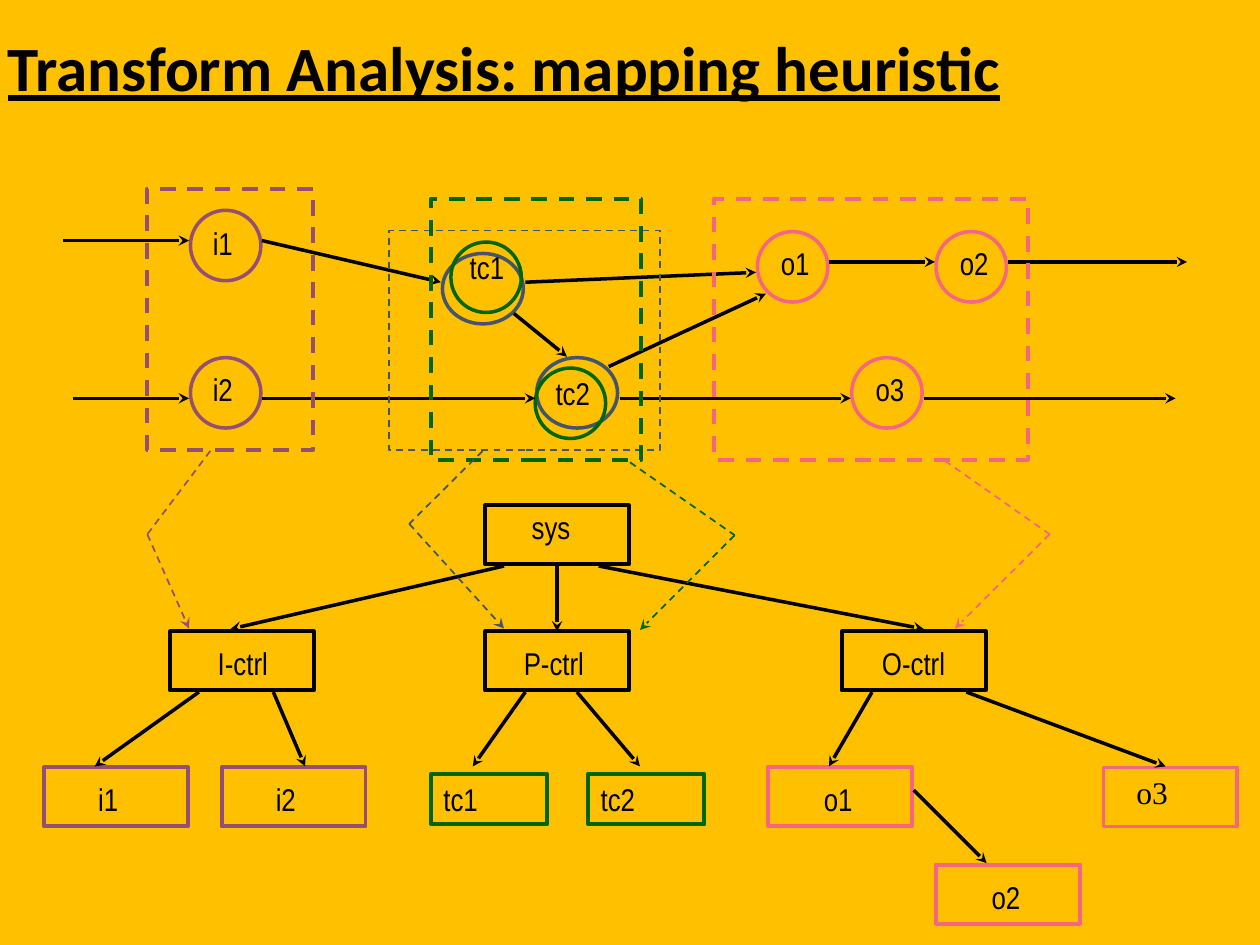
from dataclasses import dataclass
from itertools import pairwise
from typing import Any

from lxml.etree import SubElement
from pptx import Presentation
from pptx.dml.color import RGBColor
from pptx.enum.dml import MSO_LINE
from pptx.enum.shapes import MSO_CONNECTOR, MSO_SHAPE
from pptx.enum.text import MSO_ANCHOR, MSO_AUTO_SIZE, PP_ALIGN
from pptx.oxml.ns import qn
from pptx.util import Cm, Pt


@dataclass(frozen=True)
class Theme:
    background: str = "FFC000"
    ink: str = "000000"
    afferent: str = "954F72"
    process: str = "44546A"
    center: str = "006600"
    efferent: str = "F76681"
    title_font: str = "Calibri"
    label_font: str = "Arial Narrow"
    serif_font: str = "Times New Roman"
    title_size: float = 36
    label_size: float = 18
    thin: float = 1
    medium: float = 2
    thick: float = 2.25


THEME = Theme()
CIRCLE = 1.42
NODE = (2.9, 1.19)
LABEL_HEIGHT = 1.02


def style_line(line, color, width, dashed):
    line.color.rgb = RGBColor.from_string(color)
    line.width = Pt(width)
    if dashed:
        line.dash_style = MSO_LINE.DASH


def add_span(para, text, font, size):
    span = para.add_run()
    span.text = text
    span.font.name = font
    span.font.size = Pt(size)
    span.font.color.rgb = RGBColor.from_string(THEME.ink)
    return span


@dataclass
class Region:
    """A part of the page; positions inside it are centimetres from its corner."""
    page: Any
    left: float
    top: float

    def place(self, x, y):
        return Cm(self.left + x), Cm(self.top + y)

    def outline(self, kind, x, y, width, height, color,
                weight=THEME.medium, dashed=False):
        shape = self.page.shapes.add_shape(
            kind, *self.place(x, y), Cm(width), Cm(height))
        shape.shadow.inherit = False
        shape.fill.background()
        style_line(shape.line, color, weight, dashed)
        return shape

    def label(self, text, x, y, width, font=THEME.label_font):
        box = self.page.shapes.add_textbox(
            *self.place(x, y), Cm(width), Cm(LABEL_HEIGHT))
        box.text_frame.word_wrap = False
        box.text_frame.auto_size = MSO_AUTO_SIZE.SHAPE_TO_FIT_TEXT
        add_span(box.text_frame.paragraphs[0], text, font, THEME.label_size)

    def line(self, start, end, color=THEME.ink, weight=THEME.medium,
             dashed=False, arrow=True):
        link = self.page.shapes.add_connector(
            MSO_CONNECTOR.STRAIGHT, *self.place(*start), *self.place(*end))
        style_line(link.line, color, weight, dashed)
        if arrow:
            SubElement(link.line._get_or_add_ln(), qn("a:tailEnd"), type="stealth")
        SubElement(link._element.spPr, qn("a:effectLst"))
        return link


def add_title(page, left, top, width, height):
    title = page.shapes.title
    title.left, title.top = Cm(left), Cm(top)
    title.width, title.height = Cm(width), Cm(height)
    frame = title.text_frame
    frame.word_wrap = True
    frame.auto_size = MSO_AUTO_SIZE.NONE
    frame.vertical_anchor = MSO_ANCHOR.MIDDLE
    para = frame.paragraphs[0]
    para.alignment = PP_ALIGN.LEFT
    para.line_spacing = 0.9
    span = add_span(para, "Transform Analysis: mapping heuristic",
                    THEME.title_font, THEME.title_size)
    span.font.bold = span.font.underline = True


def add_data_flow(region):
    circles = [
        (2.57, 0.43, CIRCLE, THEME.afferent), (2.57, 3.4, CIRCLE, THEME.afferent),
        (7.65, 1.3, 1.63, THEME.process), (9.55, 3.4, 1.63, THEME.process),
        (7.82, 1.07, CIRCLE, THEME.center), (9.52, 3.61, CIRCLE, THEME.center),
        (14, 0.86, CIRCLE, THEME.efferent), (17.6, 0.86, CIRCLE, THEME.efferent),
        (15.9, 3.4, CIRCLE, THEME.efferent),
    ]
    for x, y, width, color in circles:
        region.outline(MSO_SHAPE.OVAL, x, y, width, CIRCLE, color)

    upper, middle, lower, output = 1.04, 1.88, 4.22, 1.47
    flows = [
        ((0, upper), (2.54, upper)), ((4.01, upper), (7.62, middle)),
        ((0.2, lower), (2.54, lower)), ((4.01, lower), (9.52, lower)),
        ((9.09, 2.51), (10.16, 3.38)), ((9.32, middle), (13.97, 1.68)),
        ((11.23, lower), (15.88, lower)), ((11, 3.58), (14.17, 2.11)),
        ((15.44, output), (17.58, output)), ((19.05, output), (22.66, output)),
        ((17.35, lower), (22.43, lower)),
    ]
    for start, end in flows:
        region.line(start, end)

    labels = [
        ("i1", 2.77, 0.58, 0.91), ("i2", 2.77, 3.53, 0.91),
        ("tc1", 7.95, 1.07, 1.22), ("tc2", 9.68, 3.61, 1.22),
        ("o1", 14.22, 0.99, 1.09), ("o2", 17.83, 0.99, 1.09),
        ("o3", 16.13, 3.53, 1.09),
    ]
    for label in labels:
        region.label(*label)

    frames = [
        (1.7, 0, 3.35, 5.26, THEME.afferent, THEME.thick),
        (6.58, 0.84, 5.46, 4.42, THEME.process, THEME.thin),
        (13.13, 0.2, 6.32, 5.26, THEME.efferent, THEME.thick),
        (7.42, 0.2, 4.24, 5.26, THEME.center, THEME.thick),
    ]
    for frame in frames:
        region.outline(MSO_SHAPE.RECTANGLE, *frame, dashed=True)


def add_module_tree(region):
    control, leaf = 2.54, 5.28
    nodes = [  # name, left, top, colour, label left, label top, label width
        ("sys", 8.89, 0, THEME.ink, 9.58, -0.08, 1.3),
        ("I-ctrl", 2.54, control, THEME.ink, 3.25, 2.67, 1.52),
        ("P-ctrl", 8.89, control, THEME.ink, 9.42, 2.67, 1.73),
        ("O-ctrl", 16.08, control, THEME.ink, 16.64, 2.67, 1.78),
        ("i1", 0, leaf, THEME.afferent, 0.84, 5.41, 0.91),
        ("i2", 3.58, leaf, THEME.afferent, 4.42, 5.41, 0.91),
        ("o1", 14.6, leaf, THEME.efferent, 15.47, 5.41, 1.09),
        ("o2", 17.98, 7.24, THEME.efferent, 18.85, 7.39, 1.09),
    ]
    modules = {}
    for name, x, y, color, *label in nodes:
        modules[name] = region.outline(
            MSO_SHAPE.RECTANGLE, x, y, *NODE, color, THEME.thick)
        region.label(name, *label)
    region.outline(MSO_SHAPE.RECTANGLE, 21.36, leaf, 2.69, NODE[1], THEME.efferent)
    region.label("o3", 21.77, 5.26, 1.47, THEME.serif_font)

    for name, x in (("tc1", 7.8), ("tc2", 10.97)):
        shape = region.outline(MSO_SHAPE.RECTANGLE, x, 5.41, 2.34, LABEL_HEIGHT,
                               THEME.center, THEME.thick)
        shape.text_frame.vertical_anchor = MSO_ANCHOR.TOP
        para = shape.text_frame.paragraphs[0]
        para.alignment = PP_ALIGN.LEFT
        add_span(para, name, THEME.label_font, THEME.label_size)

    for start, end in ((9.27, 3.76), (11.18, 17.73)):
        region.line((start, 1.22), (end, 2.49))
    trunk = region.line((10.34, 1.22), (10.34, 2.49))
    trunk.begin_connect(modules["sys"], 2)
    trunk.end_connect(modules["P-ctrl"], 0)
    for start, end in ((3.12, 1.02), (4.62, 5.26), (9.7, 8.64),
                       (10.74, 12.01), (16.69, 15.82), (18.59, 22.61)):
        region.line((start, 3.76), (end, 5.26))
    region.line((17.53, 5.74), (19, 7.21))


def add_mapping(region):
    """Bent dashed arrows from each part of the flow to its controller."""
    routes = [
        (THEME.afferent, (1.27, 0), (0, 1.68), (0.84, 3.58)),
        (THEME.process, (6.76, 0), (5.28, 1.47), (7.19, 3.58)),
        (THEME.efferent, (16.08, 0.2), (18.19, 1.68), (16.28, 3.58)),
        (THEME.center, (9.73, 0.23), (11.84, 1.7), (9.93, 3.61)),
    ]
    for color, *points in routes:
        for start, end in pairwise(points):
            region.line(start, end, color, THEME.thin, dashed=True,
                        arrow=end == points[-1])


def main():
    deck = Presentation()
    deck.slide_width, deck.slide_height = Cm(25.4), Cm(19.05)
    page = deck.slides.add_slide(deck.slide_layouts[5])
    page.background.fill.solid()
    page.background.fill.fore_color.rgb = RGBColor.from_string(THEME.background)
    add_title(page, -0.1, -0.15, 22.22, 3.18)
    add_data_flow(Region(page, 1.27, 3.81))
    add_module_tree(Region(page, 0.89, 10.19))
    add_mapping(Region(page, 2.97, 9.09))
    deck.save("out.pptx")


if __name__ == "__main__":
    main()
